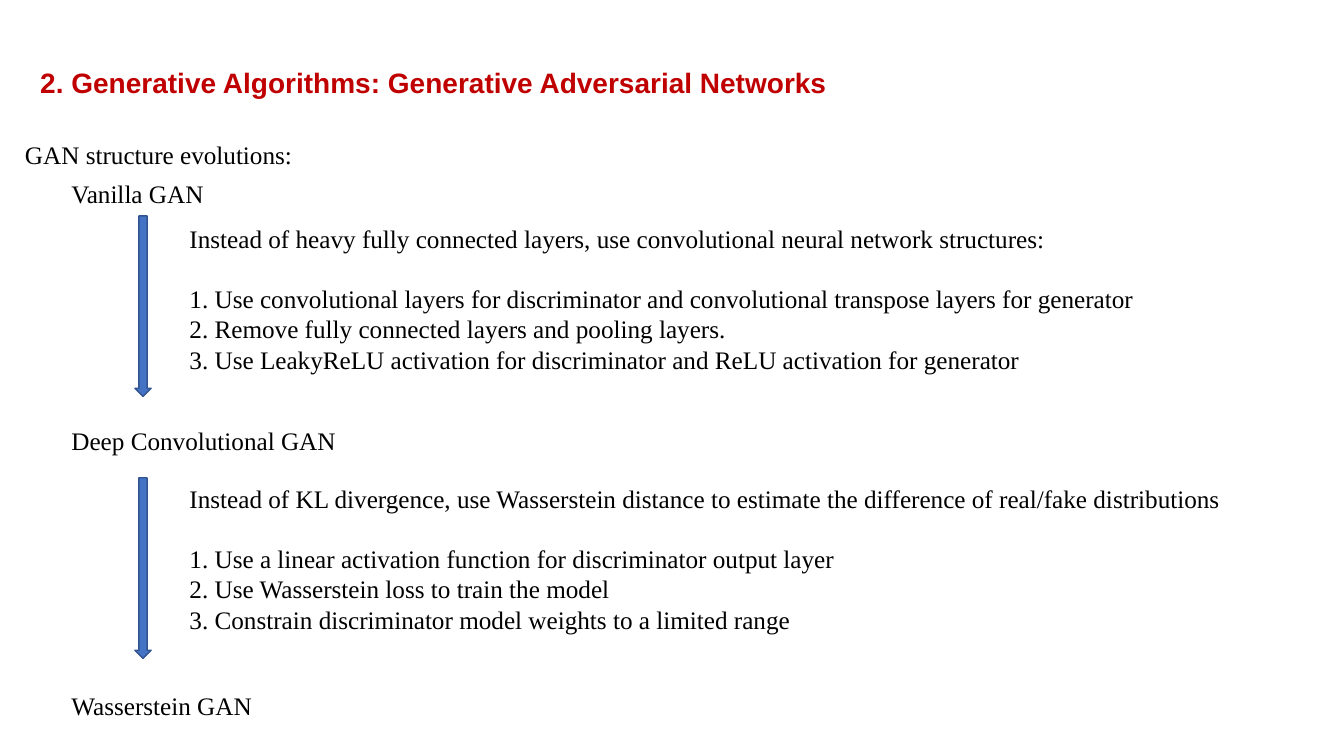
from pptx import Presentation
from pptx.dml.color import RGBColor
from pptx.enum.shapes import MSO_SHAPE
from pptx.enum.text import MSO_ANCHOR, MSO_AUTO_SIZE, PP_ALIGN
from pptx.oxml.ns import qn
from pptx.util import Cm, Pt
from lxml.etree import SubElement

COLORS = {"title": "C00000", "text": "000000", "arrow": "4472C4", "edge": "325491"}

HEAD = "2. Generative Algorithms: Generative Adversarial Networks"
STAGES = [("Vanilla GAN", 4.37), ("Deep Convolutional GAN", 10.59),
          ("Wasserstein GAN", 17.27)]
STEPS = [
    (5.44, 5.49, 26.97, [
        "Instead of heavy fully connected layers, use convolutional neural network structures:",
        "1. Use convolutional layers for discriminator and convolutional transpose layers for generator",
        "2. Remove fully connected layers and pooling layers.",
        "3. Use LeakyReLU activation for discriminator and ReLU activation for generator"]),
    (12.04, 12.04, 29.36, [
        "Instead of KL divergence, use Wasserstein distance to estimate the difference of real/fake distributions",
        "1. Use a linear activation function for discriminator output layer",
        "2. Use Wasserstein loss to train the model",
        "3. Constrain discriminator model weights to a limited range"]),
]


def tint(name):
    return RGBColor.from_string(COLORS[name])


class Deck:
    def __init__(self):
        self.show = Presentation()
        self.show.slide_width, self.show.slide_height = Cm(33.87), Cm(19.05)
        self.slide = self.show.slides.add_slide(self.show.slide_layouts[3])
        self.face, self.size = "Times New Roman", 18

    def place(self, shape, x, y, w, h):
        shape.left, shape.top, shape.width, shape.height = Cm(x), Cm(y), Cm(w), Cm(h)

    def style(self, frame, face, size, color, bold=False):
        frame.word_wrap = True
        frame.auto_size = MSO_AUTO_SIZE.NONE
        frame.vertical_anchor = MSO_ANCHOR.TOP
        for para in frame.paragraphs:
            para.alignment = PP_ALIGN.LEFT
            para.space_before = Pt(0)
            for run in para.runs:
                font = run.font
                font.name, font.size, font.bold = face, Pt(size), bold
                font.color.rgb = tint(color)

    def title(self, text, *box):
        shape = self.slide.shapes.title
        self.place(shape, *box)
        shape.text_frame.text = text
        self.style(shape.text_frame, "Arial", 20, "title", True)

    def label(self, text, x, y, w):
        frame = self.slide.shapes.add_textbox(Cm(x), Cm(y), Cm(w), Cm(1.02)).text_frame
        frame.text = text
        self.style(frame, self.face, self.size, "text")

    def steps(self, index, lines, *box):
        """Fill a body placeholder with a lead line, a gap and numbered steps."""
        shape = self.slide.placeholders[index]
        self.place(shape, *box)
        frame = shape.text_frame
        frame.text = "\n".join(lines)
        self.style(frame, self.face, self.size, "text")
        for para in frame.paragraphs:
            props = para._p.get_or_add_pPr()
            props.set("marL", "0")
            props.set("indent", "0")
            SubElement(props, qn("a:buNone"))
        frame.paragraphs[1].space_before = Pt(21.6)

    def arrow(self, *box):
        shape = self.slide.shapes.add_shape(MSO_SHAPE.DOWN_ARROW, *map(Cm, box))
        shape.shadow.inherit = False
        shape.fill.solid()
        shape.fill.fore_color.rgb = tint("arrow")
        shape.line.color.rgb = tint("edge")
        shape.line.width = Pt(1)


def main():
    deck = Deck()
    deck.title(HEAD, 0.76, 1.52, 26.37, 1.12)
    deck.label("GAN structure evolutions:", 0.38, 3.38, 30.25)
    for name, y in STAGES:
        deck.label(name, 1.55, y, 16.94)
    for index, (top, y, width, lines) in enumerate(STEPS, 1):
        deck.arrow(3.4, top, 0.41, 4.55)
        deck.steps(index, lines, 4.52, y, width, 4.11)
    deck.show.save("out.pptx")


if __name__ == "__main__":
    main()
